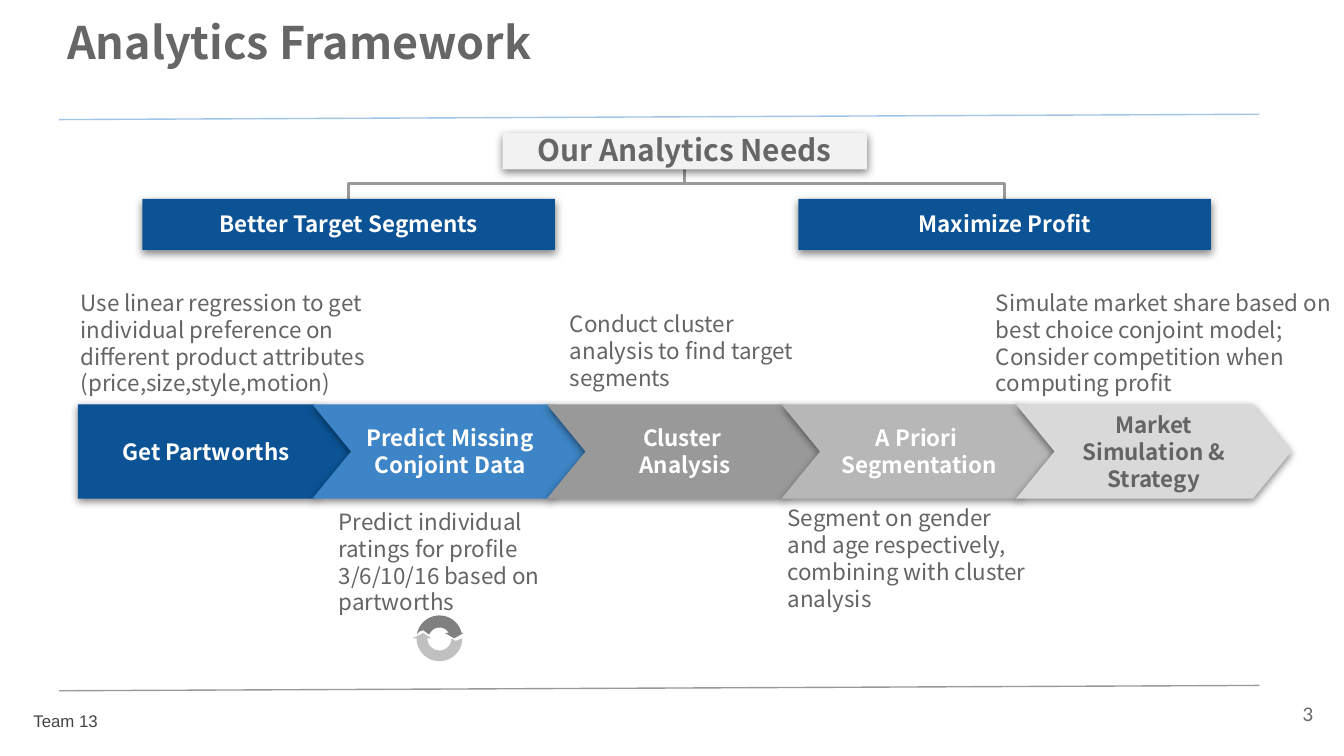
import math

from lxml import etree
from pptx import Presentation
from pptx import util as u
from pptx.dml.color import RGBColor
from pptx.enum import shapes, text
from pptx.oxml.ns import qn

FONT = "Noto Sans CJK SC"
WHITE = RGBColor(0xFF, 0xFF, 0xFF)
INK = RGBColor(0x64, 0x64, 0x64)
TITLE_GREY = RGBColor(0x66, 0x66, 0x66)
FOOTER_GREY = RGBColor(0x43, 0x43, 0x43)
PALE_GREY = RGBColor(0xF2, 0xF2, 0xF2)
RULE_BLUE = RGBColor(0x9F, 0xC5, 0xE8)
NAVY = RGBColor(0x0B, 0x53, 0x94)
BLUE = RGBColor(0x3D, 0x85, 0xC6)
GREY = RGBColor(0x99, 0x99, 0x99)
MID_GREY = RGBColor(0xB7, 0xB7, 0xB7)
LIGHT_GREY = RGBColor(0xD9, 0xD9, 0xD9)
DARK_ARROW = RGBColor(0x80, 0x80, 0x80)
LIGHT_ARROW = RGBColor(0xC0, 0xC0, 0xC0)

RECT = shapes.MSO_SHAPE.RECTANGLE
LEFT, CENTER, RIGHT = text.PP_ALIGN.LEFT, text.PP_ALIGN.CENTER, text.PP_ALIGN.RIGHT
TOP, MIDDLE = text.MSO_ANCHOR.TOP, text.MSO_ANCHOR.MIDDLE

STEPS = [
    ("Get Partworths", NAVY, WHITE),
    ("Predict Missing Conjoint Data", BLUE, WHITE),
    ("Cluster \nAnalysis", GREY, WHITE),
    ("A Priori \nSegmentation", MID_GREY, WHITE),
    ("Market Simulation & Strategy", LIGHT_GREY, INK),
]
NOTES = [
    ("Use linear regression to get individual preference on different product "
     "attributes (price,size,style,motion)", 0.02, -0.86, 2.17, 0.53),
    ("Predict individual ratings for profile 3/6/10/16 based on partworths",
     1.94, 0.77, 1.7, 0.63),
    ("Conduct cluster analysis to find target segments", 3.66, -0.7, 1.7, 0.63),
    ("Segment on gender and age respectively, combining with cluster analysis",
     5.28, 0.74, 1.81, 0.58),
    ("Simulate market share based on best choice conjoint model; Consider "
     "competition when computing profit", 6.83, -0.86, 2.59, 0.92),
]


def write(shape, content, size=12, color=INK, font=FONT, bold=False, align=LEFT,
          anchor=TOP, margins=(0, 0), spacing=None):
    frame = shape.text_frame
    frame.word_wrap = True
    frame.vertical_anchor = anchor
    frame.margin_left = frame.margin_right = u.Inches(margins[0])
    frame.margin_top = frame.margin_bottom = u.Inches(margins[1])
    frame.text = content
    for para in frame.paragraphs:
        para.alignment = align
        para.line_spacing = spacing
        for span in para.runs:
            span.font.name = font
            span.font.size = u.Pt(size)
            span.font.bold = bold
            span.font.color.rgb = color


def add_text(page, box, content, **style):
    write(page.shapes.add_textbox(*map(u.Inches, box)), content, **style)


def add_block(page, kind, box, fill, content, **style):
    block = page.shapes.add_shape(kind, *map(u.Inches, box))
    block.fill.solid()
    block.fill.fore_color.rgb = fill
    block.line.fill.background()
    block.shadow.inherit = False
    effects = block._element.spPr.find(qn("a:effectLst"))
    shadow = etree.SubElement(effects, qn("a:outerShdw"), blurRad=str(u.Pt(4.5)),
                              dist=str(u.Pt(1.5)), dir="5400000", algn="t", rotWithShape="0")
    shade = etree.SubElement(shadow, qn("a:srgbClr"), val="000000")
    etree.SubElement(shade, qn("a:alpha"), val="50000")
    write(block, content, bold=True, align=CENTER, anchor=MIDDLE, **style)
    return block


def add_line(page, kind, start, end, color, width):
    line = page.shapes.add_connector(kind, *map(u.Inches, start + end))
    line.line.color.rgb = color
    line.line.width = u.Pt(width)
    etree.SubElement(line._element.spPr, qn("a:effectLst"))
    return line


def add_rule(page, left, top, width, color):
    add_line(page, shapes.MSO_CONNECTOR.STRAIGHT, (left, top), (left + width, top - 0.04),
             color, 0.75)


def add_branch(page, child, parent):
    middle_x, middle_y = (child[0] + parent[0]) / 2, (child[1] + parent[1]) / 2
    half_width = (child[1] - parent[1]) / 2
    half_height = abs(child[0] - parent[0]) / 2
    side = 1 if child[0] < parent[0] else -1
    branch = add_line(page, shapes.MSO_CONNECTOR.ELBOW,
                      (middle_x - side * half_width, middle_y - half_height),
                      (middle_x + side * half_width, middle_y + half_height), GREY, 1.5)
    branch._element.spPr.find(qn("a:xfrm")).set("rot", str((-side * 90 % 360) * 60000))


def add_needs_tree(page, left, top, width):
    child_width, parent_width = 3.07, 2.71
    parent_left = left + 2.68
    parent_foot = (parent_left + parent_width / 2, top + 0.26)
    child_top = top + 0.49
    for child_left in (left, left + width - child_width):
        add_branch(page, (child_left + child_width / 2, child_top), parent_foot)
    add_block(page, RECT, (parent_left, top, parent_width, 0.27), PALE_GREY,
              "Our Analytics Needs", size=16, color=TITLE_GREY, spacing=0.95)
    for child_left, label in ((left, "Better Target Segments"),
                              (left + width - child_width, "Maximize Profit")):
        add_block(page, RECT, (child_left, child_top, child_width, 0.38), NAVY, label,
                  color=WHITE, margins=(0.08, 0), spacing=0.95)


def add_process(page, left, top, width, height):
    step_width = 2.05
    pitch = (width - step_width) / (len(STEPS) - 1)
    for content, x, y, note_width, note_height in NOTES:
        add_text(page, (left + x, top + y, note_width, note_height), content)
    for index, (label, fill, color) in enumerate(STEPS):
        kind = shapes.MSO_SHAPE.CHEVRON if index else shapes.MSO_SHAPE.PENTAGON
        step = add_block(page, kind, (left + index * pitch, top, step_width, height), fill,
                         label, color=color, margins=(0.04, 0.04))
        step.adjustments[0] = 0.41


def arc(center_x, center_y, radius, start, end, count=24):
    angles = [math.radians(start + (end - start) * i / count) for i in range(count + 1)]
    return [(center_x + radius * math.cos(a), center_y + radius * math.sin(a)) for a in angles]


def add_cycle(page, left, top):
    x, y = left + 0.2, top + 0.17
    outer, inner = 0.17, 0.08
    upper = (arc(x, y, outer, -14, -170)
             + [(x - 0.15, y - 0.05), (x - 0.12, y - 0.06), (x - 0.08, y - 0.03)]
             + arc(x, y, inner, -155, -30)
             + [(x + 0.04, y - 0.04), (x + 0.11, y), (x + 0.18, y - 0.04)])
    lower = (arc(x, y, inner + 0.01, 0, 180)
             + [(x - 0.06, y), (x - 0.12, y - 0.04), (x - 0.2, y)]
             + arc(x, y, outer, 180, 0) + [(x + 0.12, y + 0.02)])
    for points, color in ((upper, DARK_ARROW), (lower, LIGHT_ARROW)):
        corners = [(u.Inches(px), u.Inches(py)) for px, py in points]
        builder = page.shapes.build_freeform(*corners[0])
        builder.add_line_segments(corners[1:], close=True)
        arrow = builder.convert_to_shape()
        arrow.fill.solid()
        arrow.fill.fore_color.rgb = color
        arrow.line.fill.background()
        arrow.shadow.inherit = False


def add_header(page, left, top, width):
    add_rule(page, left, top + 0.72, width, RULE_BLUE)
    add_text(page, (left + 0.06, top, 9, 0.34), "Analytics Framework", size=24,
             color=TITLE_GREY, bold=True, spacing=0.85)


def add_footer(page, left, top, width):
    add_rule(page, left, top + 0.04, width, GREY)
    add_text(page, (left + 8.83, top, 0.6, 0.43), "3", size=10, color=TITLE_GREY, font="Lato",
             align=RIGHT, anchor=MIDDLE, margins=(0.1, 0.1))
    add_text(page, (left - 0.29, top + 0.11, 0.69, 0.27), "Team 13", size=9,
             color=FOOTER_GREY, font="Arial", margins=(0.1, 0.1))


def main():
    deck = Presentation()
    deck.slide_width, deck.slide_height = u.Inches(10), u.Inches(5.625)
    page = deck.slides.add_slide(deck.slide_layouts[6])
    add_header(page, 0.44, 0.17, 8.93)
    add_needs_tree(page, 1.06, 0.99, 7.95)
    add_process(page, 0.58, 3.01, 9.03, 0.7)
    add_cycle(page, 3.07, 4.58)
    add_footer(page, 0.44, 5.1, 8.93)
    deck.save("out.pptx")


if __name__ == "__main__":
    main()
